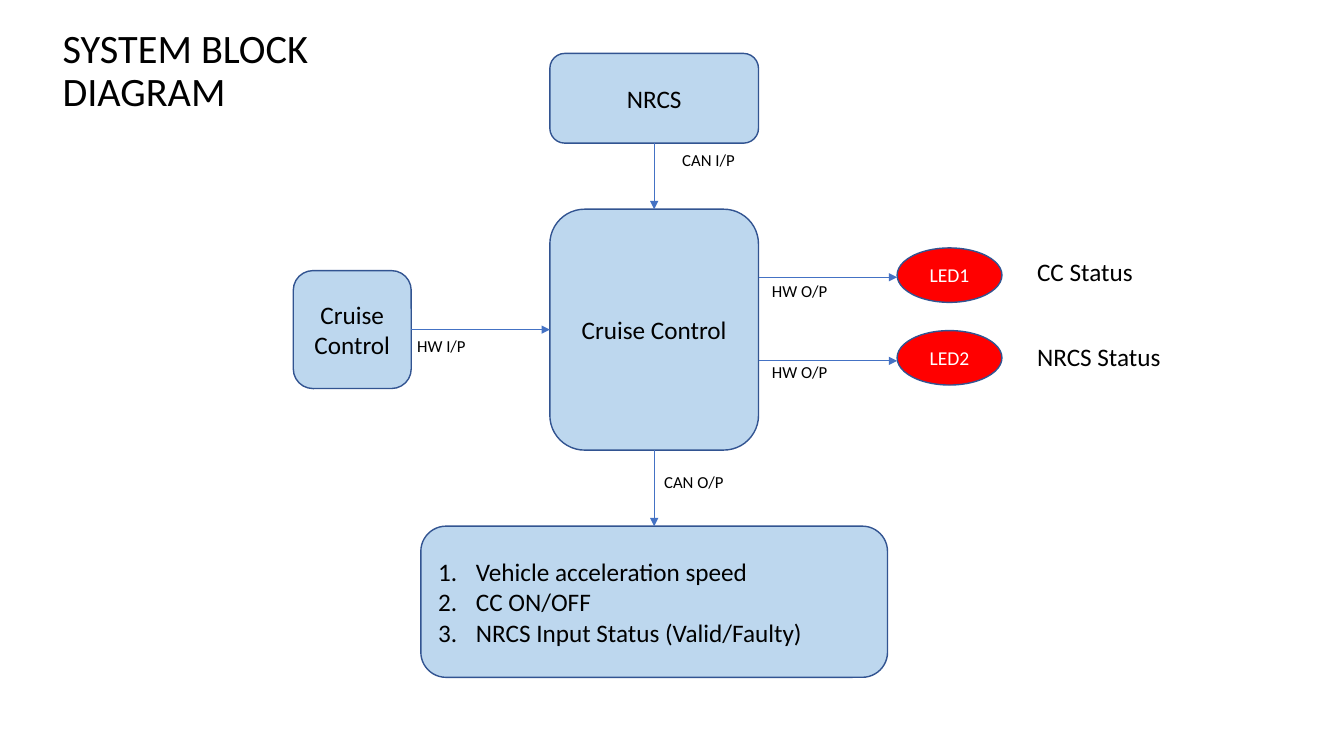
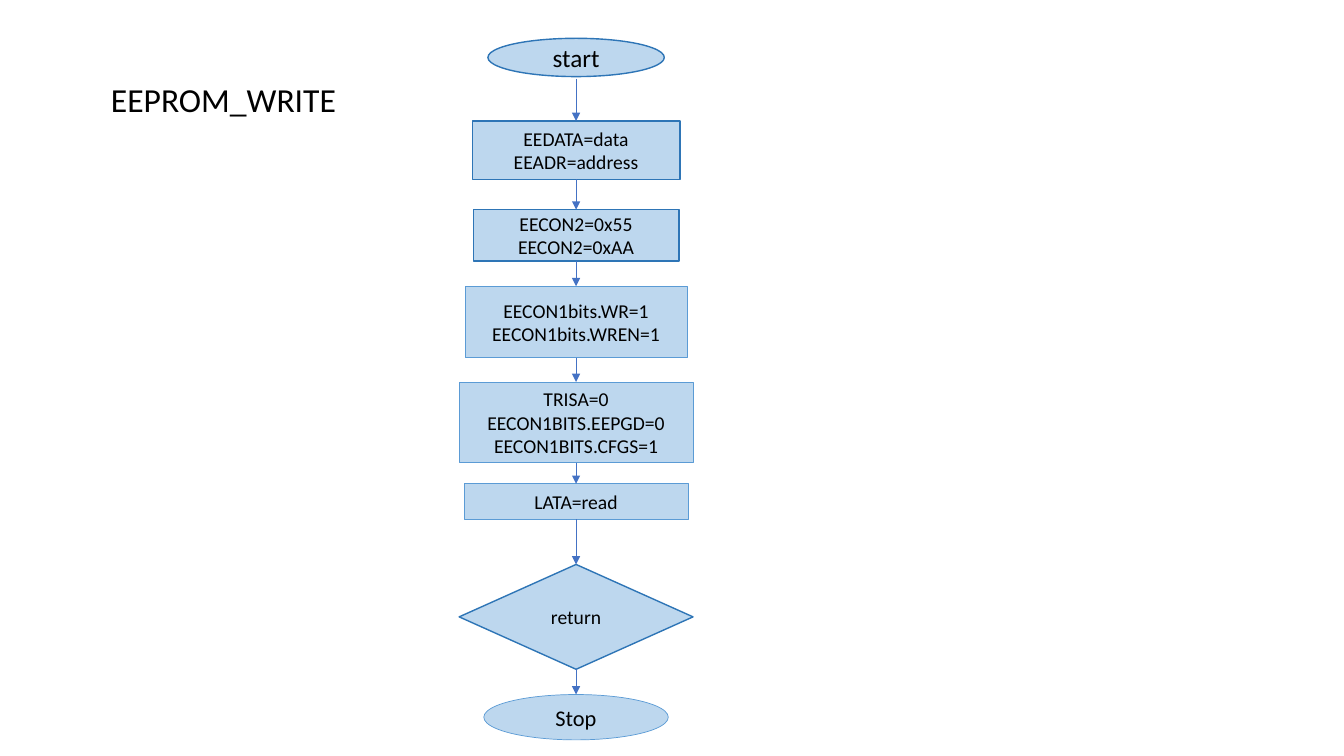
from dataclasses import dataclass

from lxml import etree
from pptx import Presentation
from pptx.dml.color import RGBColor
from pptx.enum.shapes import MSO_CONNECTOR, MSO_SHAPE
from pptx.enum.text import MSO_ANCHOR, MSO_AUTO_SIZE, PP_ALIGN
from pptx.oxml.ns import qn
from pptx.util import Inches, Pt

STRAIGHT = MSO_CONNECTOR.STRAIGHT
ROUNDED, RECTANGLE = MSO_SHAPE.ROUNDED_RECTANGLE, MSO_SHAPE.RECTANGLE
ELLIPSE, DIAMOND = MSO_SHAPE.OVAL, MSO_SHAPE.DIAMOND
LEFT, CENTER, JUSTIFY = PP_ALIGN.LEFT, PP_ALIGN.CENTER, PP_ALIGN.JUSTIFY
TOP_ANCHOR, MIDDLE_ANCHOR = MSO_ANCHOR.TOP, MSO_ANCHOR.MIDDLE
NO_FIT, GROW = MSO_AUTO_SIZE.NONE, MSO_AUTO_SIZE.SHAPE_TO_FIT_TEXT
TOP, LEFT_SIDE, BOTTOM, RIGHT_SIDE = range(4)
TITLE_ONLY = 5
COLUMNS, ROWS = 133.33, 75


@dataclass(frozen=True)
class Theme:
    font: str = "Calibri"
    text: str = "000000"
    light_text: str = "FFFFFF"
    fill: str = "BDD7EE"
    led: str = "FF0000"
    block_line: str = "325491"
    step_line: str = "2E75B6"
    soft_line: str = "5B9BD5"
    arrow: str = "4472C4"
    thick: float = 1
    thin: float = 0.5
    title: float = 28.8
    subtitle: float = 24
    large: float = 18
    medium: float = 16
    small: float = 14
    label: float = 12


THEME = Theme()


def cells(count):
    """Length of a number of grid columns or rows; a cell is 0.1 inch square."""
    return Inches(count / 10)


def write_text(text_frame, text, *, size, color=THEME.text, align=LEFT,
               anchor=MIDDLE_ANCHOR, fit=NO_FIT, spacing=None, numbered=False):
    """Fill a text frame, one paragraph for each line of text."""
    text_frame.text = text
    text_frame.word_wrap = True
    text_frame.auto_size = fit
    text_frame.vertical_anchor = anchor
    for paragraph in text_frame.paragraphs:
        paragraph.alignment = align
        if spacing:
            paragraph.line_spacing = spacing
        if numbered:
            properties = paragraph._p.get_or_add_pPr()
            indent = cells(3.75)
            properties.set("marL", str(indent))
            properties.set("indent", str(-indent))
            etree.SubElement(properties, qn("a:buAutoNum"), type="arabicPeriod")
        for run in paragraph.runs:
            run.font.name = THEME.font
            run.font.size = Pt(size)
            run.font.color.rgb = RGBColor.from_string(color)


class Deck:
    """Holds the presentation, its style and the current slide."""

    def __init__(self, theme):
        self.theme = theme
        self.presentation = Presentation()
        self.presentation.slide_width = cells(COLUMNS)
        self.presentation.slide_height = cells(ROWS)
        self.slide = None

    def add_slide(self, title, left, top, width, height, size):
        layout = self.presentation.slide_layouts[TITLE_ONLY]
        self.slide = self.presentation.slides.add_slide(layout)
        shape = self.slide.shapes.title
        shape.left, shape.top = cells(left), cells(top)
        shape.width, shape.height = cells(width), cells(height)
        write_text(shape.text_frame, title, size=size, spacing=0.9)

    def block(self, kind, text, center, top, width, height, *, line, size,
              weight=THEME.thick, fill=THEME.fill, color=THEME.text,
              align=CENTER, numbered=False):
        """Add a filled shape placed by the column of its centre."""
        shape = self.slide.shapes.add_shape(
            kind, cells(center - width / 2), cells(top), cells(width), cells(height))
        shape.shadow.inherit = False
        shape.fill.solid()
        shape.fill.fore_color.rgb = RGBColor.from_string(fill)
        shape.line.color.rgb = RGBColor.from_string(line)
        shape.line.width = Pt(weight)
        write_text(shape.text_frame, text, size=size, color=color,
                   align=align, numbered=numbered)
        return shape

    def label(self, text, left, top, width, height, size):
        shape = self.slide.shapes.add_textbox(
            cells(left), cells(top), cells(width), cells(height))
        write_text(shape.text_frame, text, size=size, anchor=TOP_ANCHOR, fit=GROW)

    def arrow(self, start=(0, 0), end=(0, 0), begin_at=None, end_at=None):
        """Draw an arrow between points, or joined to (shape, side) pairs."""
        connector = self.slide.shapes.add_connector(
            STRAIGHT, *(cells(value) for value in (*start, *end)))
        if begin_at:
            connector.begin_connect(*begin_at)
        if end_at:
            connector.end_connect(*end_at)
        connector.line.color.rgb = RGBColor.from_string(self.theme.arrow)
        connector.line.width = Pt(self.theme.thin)
        properties = connector._element.spPr
        etree.SubElement(properties.find(qn("a:ln")), qn("a:tailEnd"), type="triangle")
        etree.SubElement(properties, qn("a:effectLst"))


def build_block_diagram(deck):
    theme = deck.theme
    axis, middle = 64.9, 32.7
    control_width, control_height, input_side = 20.7, 23.9, 11.7
    block_style = {"line": theme.block_line, "size": theme.large}
    deck.add_slide("SYSTEM BLOCK DIAGRAM", 5.2, 3.4, 40.7, 7.5, theme.title)

    control = deck.block(ROUNDED, "Cruise Control", axis, middle - control_height / 2,
                         control_width, control_height, **block_style)
    nrcs = deck.block(ROUNDED, "NRCS", axis, 5.3, control_width, 8.9, **block_style)
    switch = deck.block(ROUNDED, "Cruise Control", 34.95, middle - input_side / 2,
                        input_side, input_side, **block_style)
    outputs = deck.block(
        ROUNDED,
        "Vehicle acceleration speed\nCC ON/OFF\nNRCS Input Status (Valid/Faulty)",
        axis, 52.2, 46.3, 15, align=JUSTIFY, numbered=True, **block_style)

    deck.arrow(begin_at=(nrcs, BOTTOM), end_at=(control, TOP))
    deck.arrow(begin_at=(switch, RIGHT_SIDE), end_at=(control, LEFT_SIDE))
    deck.arrow(begin_at=(control, BOTTOM), end_at=(outputs, TOP))
    for text, left, top in (("CAN I/P", 66.7, 14.4), ("HW I/P", 40.4, 32.8),
                            ("CAN O/P", 64.9, 46.3)):
        deck.label(text, left, top, 18.6, 3, theme.label)

    led_width, led_left = 10.4, 89
    control_right = axis + control_width / 2
    for row, (name, status) in enumerate((("LED1", "CC Status"), ("LED2", "NRCS Status"))):
        top = 24.6 + 8.2 * row
        arrow_row = 27.5 + 8.3 * row
        deck.block(ELLIPSE, name, led_left + led_width / 2, top, led_width, 5.4,
                   line=theme.block_line, size=theme.small, fill=theme.led,
                   color=theme.light_text)
        deck.arrow((control_right, arrow_row), (led_left, arrow_row))
        deck.label("HW O/P", 75.6, 27.4 + 8 * row, 12.4, 3, theme.label)
        deck.label(status, 101.9, 24.9 + 8.5 * row, 18.6, 4.1, theme.large)


def build_flowchart(deck):
    theme = deck.theme
    axis = 57.15
    strong = {"line": theme.step_line, "weight": theme.thick}
    soft = {"line": theme.soft_line, "weight": theme.thin}
    steps = (
        (RECTANGLE, "EEDATA=data\nEEADR=address", 12, 20.6, 5.8, theme.small, strong),
        (RECTANGLE, "EECON2=0x55\nEECON2=0xAA", 20.8, 20.4, 5.1, theme.small, strong),
        (RECTANGLE, "EECON1bits.WR=1\nEECON1bits.WREN=1", 28.4, 22, 7.1, theme.small, soft),
        (RECTANGLE, "TRISA=0\nEECON1BITS.EEPGD=0\nEECON1BITS.CFGS=1",
         37.9, 23.2, 8, theme.small, soft),
        (RECTANGLE, "LATA=read", 48, 22.2, 3.5, theme.small, soft),
        (DIAMOND, "return", 56, 23.2, 10.4, theme.small, strong),
        (ELLIPSE, "Stop", 68.9, 18.3, 4.5, theme.medium, soft),
    )
    deck.add_slide("EEPROM_WRITE", 10, 2.8, 115, 14.5, theme.subtitle)
    deck.block(ELLIPSE, "start", axis, 3.8, 17.5, 3.8, size=theme.large, **strong)
    previous = None
    for kind, text, top, width, height, size, outline in steps:
        step = deck.block(kind, text, axis, top, width, height, size=size, **outline)
        deck.arrow(start=(axis, 7.8), begin_at=previous, end_at=(step, TOP))
        previous = (step, BOTTOM)


def main():
    deck = Deck(THEME)
    build_block_diagram(deck)
    build_flowchart(deck)
    deck.presentation.save("out.pptx")


if __name__ == "__main__":
    main()
